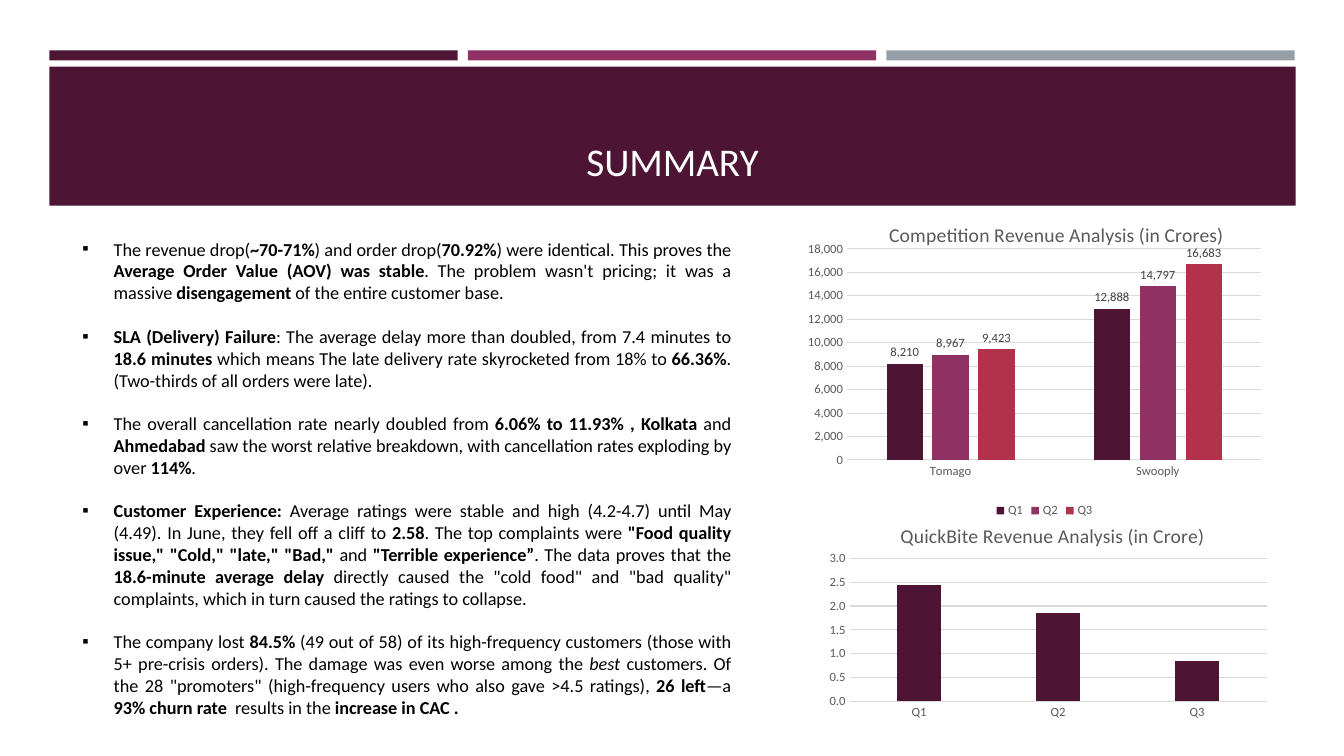
from lxml import etree
from pptx import Presentation
from pptx.chart.data import CategoryChartData
from pptx.dml.color import RGBColor
from pptx.enum.chart import (XL_CHART_TYPE, XL_LABEL_POSITION,
                             XL_LEGEND_POSITION, XL_TICK_MARK)
from pptx.enum.shapes import MSO_SHAPE
from pptx.enum.text import MSO_ANCHOR, PP_ALIGN
from pptx.oxml.ns import qn
from pptx.util import Pt

COLUMNS = XL_CHART_TYPE.COLUMN_CLUSTERED
OUTSIDE_END = XL_LABEL_POSITION.OUTSIDE_END
LEGEND_BOTTOM = XL_LEGEND_POSITION.BOTTOM
NO_TICK = XL_TICK_MARK.NONE
RECTANGLE = MSO_SHAPE.RECTANGLE
BOTTOM = MSO_ANCHOR.BOTTOM
CENTER, JUSTIFY = PP_ALIGN.CENTER, PP_ALIGN.JUSTIFY

PLUM = RGBColor(0x4D, 0x14, 0x34)
MAGENTA = RGBColor(0x90, 0x31, 0x63)
RED = RGBColor(0xB2, 0x32, 0x4B)
SLATE = RGBColor(0x96, 0x9F, 0xA7)
WHITE = RGBColor(0xFF, 0xFF, 0xFF)
BLACK = RGBColor(0, 0, 0)
LABEL_GREY = RGBColor(0x40, 0x40, 0x40)
AXIS_GREY = RGBColor(0x59, 0x59, 0x59)
GRID_GREY = RGBColor(0xD9, 0xD9, 0xD9)

FONT = "Calibri"
EMU_PER_PX = 9144  # 100 px to the inch

# Asterisks enclose bold words, underscores enclose italic ones
FINDINGS = [
    "The revenue drop(*~70-71%*) and order drop(*70.92%*) were identical. This proves the "
    "*Average Order Value (AOV) was stable*. The problem wasn't pricing; it was a massive "
    "*disengagement* of the entire customer base.",
    "*SLA (Delivery) Failure*: The average delay more than doubled, from 7.4 minutes to "
    "*18.6 minutes *which means The late delivery rate skyrocketed from 18% to *66.36%*. "
    "(Two-thirds of all orders were late).",
    "The overall cancellation rate nearly doubled from *6.06% to 11.93% , Kolkata* and "
    "*Ahmedabad* saw the worst relative breakdown, with cancellation rates exploding by "
    "over *114%*.",
    "*Customer Experience: *Average ratings were stable and high (4.2-4.7) until May (4.49). "
    "In June, they fell off a cliff to *2.58*. The top complaints were "
    "*\"Food quality issue,\" \"Cold,\" \"late,\" \"Bad,\"* and *\"Terrible experience”*. "
    "The data proves that the *18.6-minute average delay* directly caused the \"cold food\" "
    "and \"bad quality\" complaints, which in turn caused the ratings to collapse.",
    "The company lost *84.5%* (49 out of 58) of its high-frequency customers (those with 5+ "
    "pre-crisis orders). The damage was even worse among the _best_ customers. Of the 28 "
    "\"promoters\" (high-frequency users who also gave >4.5 ratings), *26 left*—a "
    "*93% churn rate * results in the *increase in CAC .*",
]


def px(length):
    return length * EMU_PER_PX


def scaled(box):
    return [px(length) for length in box]


def set_font(font, size, color):
    font.name = FONT
    font.size = Pt(size)
    font.bold = False
    font.color.rgb = color


def add_block(page, box, color):
    block = page.shapes.add_shape(RECTANGLE, *scaled(box))
    block.shadow.inherit = False
    block.fill.solid()
    block.fill.fore_color.rgb = color
    block.line.fill.background()


def add_header(page, left, top, width, height):
    # Three accent strips above the title band
    gap, strip_height, band_top = 10, 10, 16
    strip_width = (width - 2 * gap) // 3
    for index, color in enumerate((PLUM, MAGENTA, SLATE)):
        strip_left = left + index * (strip_width + gap)
        add_block(page, (strip_left, top, strip_width, strip_height), color)
    add_block(page, (left, top + band_top, width, height - band_top), PLUM)

    # Title
    title_box = (left + 15, top + 30, width - 30, height - 46)
    frame = page.shapes.add_textbox(*scaled(title_box)).text_frame
    frame.word_wrap = True
    frame.vertical_anchor = BOTTOM
    para = frame.paragraphs[0]
    para.text = "SUMMARY"
    para.alignment = CENTER
    set_font(para.font, 28, WHITE)


def add_bullet(para, indent):
    properties = para._p.get_or_add_pPr()
    properties.set("marL", str(px(indent)))
    properties.set("indent", str(-px(indent)))
    etree.SubElement(properties, qn("a:buFont")).set("typeface", "Arial")
    etree.SubElement(properties, qn("a:buChar")).set("char", "▪")


def add_findings(page, box):
    frame = page.shapes.add_textbox(*scaled(box)).text_frame
    frame.word_wrap = True
    for number, finding in enumerate(FINDINGS):
        para = frame.add_paragraph() if number else frame.paragraphs[0]
        add_bullet(para, 31)
        para.alignment = JUSTIFY
        if number:
            para.space_before = Pt(15.5)
        set_font(para.font, 13, BLACK)
        for bold_index, part in enumerate(finding.split("*")):
            for italic_index, words in enumerate(part.split("_")):
                if words:
                    span = para.add_run()
                    span.text = words
                    span.font.name = FONT
                    if bold_index % 2:
                        span.font.bold = True
                    if italic_index % 2:
                        span.font.italic = True


def place(element, position, **fractions):
    """Give a chart part a manual layout, as fractions of the chart."""
    for old in element.findall(qn("c:layout")):
        element.remove(old)
    layout = etree.Element(qn("c:layout"))
    element.insert(position, layout)
    manual = etree.SubElement(layout, qn("c:manualLayout"))
    if "w" in fractions:
        etree.SubElement(manual, qn("c:layoutTarget")).set("val", "inner")
    for side in "xy":
        etree.SubElement(manual, qn(f"c:{side}Mode")).set("val", "edge")
    for name, value in fractions.items():
        etree.SubElement(manual, qn(f"c:{name}")).set("val", str(value))


def add_column_chart(page, box, title, title_at, plot_at, categories, series,
                     top_value, step, number_format):
    data = CategoryChartData(number_format=number_format)
    data.categories = categories
    for name, values, _ in series:
        data.add_series(name, values)
    chart = page.shapes.add_chart(COLUMNS, *scaled(box), data).chart
    set_font(chart.font, 10, BLACK)

    # Title and plot area
    chart.has_title = True
    para = chart.chart_title.text_frame.paragraphs[0]
    para.text = title
    set_font(para.font, 14, AXIS_GREY)
    place(chart.chart_title._element, 1, **dict(zip("xy", title_at)))
    place(chart._chartSpace.chart.plotArea, 0, **dict(zip("xywh", plot_at)))

    # Columns
    plot = chart.plots[0]
    plot.gap_width, plot.overlap = 219, -27
    plot.vary_by_categories = False
    for columns, (_, _, color) in zip(plot.series, series):
        columns.format.fill.solid()
        columns.format.fill.fore_color.rgb = color

    # Axes
    for axis in (chart.category_axis, chart.value_axis):
        axis.major_tick_mark = axis.minor_tick_mark = NO_TICK
        set_font(axis.tick_labels.font, 9, AXIS_GREY)
    value_axis = chart.value_axis
    value_axis.minimum_scale, value_axis.maximum_scale = 0, top_value
    value_axis.major_unit = step
    value_axis.tick_labels.number_format = number_format
    value_axis.tick_labels.number_format_is_linked = False
    value_axis.format.line.fill.background()
    for line in (chart.category_axis.format.line, value_axis.major_gridlines.format.line):
        line.color.rgb = GRID_GREY
        line.width = Pt(0.75)

    # Legend and value labels for several series
    chart.has_legend = len(series) > 1
    if chart.has_legend:
        chart.legend.position = LEGEND_BOTTOM
        chart.legend.include_in_layout = False
        set_font(chart.legend.font, 9, AXIS_GREY)
        plot.has_data_labels = True
        labels = plot.data_labels
        labels.show_value = True
        labels.position = OUTSIDE_END
        labels.number_format = number_format
        labels.number_format_is_linked = False
        set_font(labels.font, 9, LABEL_GREY)


def add_summary_page(deck):
    page = deck.slides.add_slide(deck.slide_layouts[6])
    add_header(page, 49, 50, 1236, 154)
    add_column_chart(
        page, (797, 210, 478, 308), "Competition Revenue Analysis (in Crores)",
        (0.17, 0.02), (0.09, 0.12, 0.86, 0.68), ["Tomago", "Swooply"],
        [("Q1", (8210, 12888), PLUM), ("Q2", (8967, 14797), MAGENTA),
         ("Q3", (9423, 16683), RED)],
        18000, 2000, "#,##0")
    add_column_chart(
        page, (805, 498, 470, 233), "QuickBite Revenue Analysis (in Crore)",
        (0.18, 0.07), (0.08, 0.24, 0.88, 0.61), ["Q1", "Q2", "Q3"],
        [("Series 1", (2.44, 1.85, 0.85), PLUM)],
        3, 0.5, "0.0")
    add_findings(page, (72, 231, 663, 512))


def main():
    deck = Presentation()
    deck.slide_width, deck.slide_height = px(1333), px(750)
    add_summary_page(deck)
    deck.save("out.pptx")


if __name__ == "__main__":
    main()
